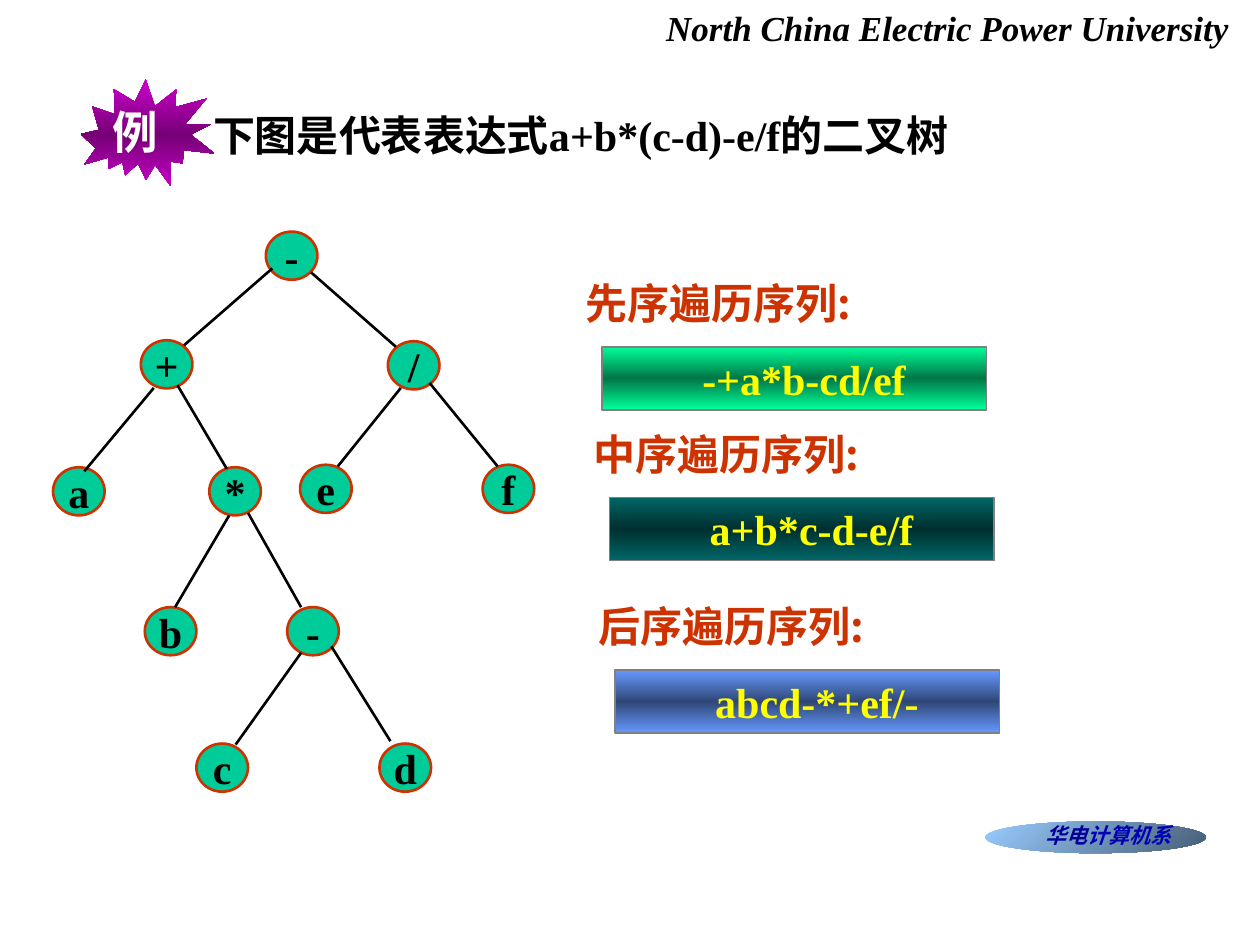
import copy

import pptx
import pptx.util
import pptx.dml.color
import pptx.enum.shapes
import pptx.enum.text
import pptx.oxml
import pptx.oxml.ns

Cm, Pt = pptx.util.Cm, pptx.util.Pt
SHAPE = pptx.enum.shapes.MSO_SHAPE
ALIGN = pptx.enum.text.PP_ALIGN
ANCHOR = pptx.enum.text.MSO_ANCHOR
qn = pptx.oxml.ns.qn

LATIN, CJK = "Times New Roman", "Noto Sans CJK SC"
COLORS = {
    "black": "000000", "white": "FFFFFF", "node": "00CC99", "red": "CC3300",
    "yellow": "FFFF00", "border": "808080", "navy": "000099", "blue": "0000B6",
}
BURST = ("FF00FF", "760076", "FF00FF")
BADGE = ("99CCFF", "475E76")

HEADER = "North China Electric Power University"
TITLE = "下图是代表表达式a+b*(c-d)-e/f的二叉树"
DEPARTMENT = ("华电", "计算机系")

# Symbol, left and top of each tree node, in cm
NODES = [
    ("-", 5.36, 4.67), ("+", 2.84, 6.86), ("/", 7.82, 6.88),
    ("a", 1.07, 9.42), ("*", 4.22, 9.42), ("e", 6.05, 9.37), ("f", 9.73, 9.37),
    ("b", 2.92, 12.24), ("-", 5.79, 12.24), ("c", 3.96, 14.99), ("d", 7.65, 14.99),
]
NODE_SIZE = (1.04, 0.97)

# Parent end and child end of each branch, in cm
BRANCHES = [
    (5.49, 5.41, 3.71, 6.96), (6.27, 5.49, 7.98, 6.99),
    (3.10, 7.82, 1.70, 9.50), (3.58, 7.77, 4.57, 9.45),
    (8.08, 7.82, 6.81, 9.40), (8.66, 7.72, 10.03, 9.40),
    (4.62, 10.39, 3.53, 12.24), (5.00, 10.34, 6.07, 12.24),
    (6.07, 13.16, 4.75, 15.01), (6.68, 13.03, 7.87, 14.94),
]

# Label, sequence, left and top of the bar in cm, gradient
TRAVERSALS = [
    ("先序遍历序列:", "-+a*b-cd/ef", 12.14, 6.99, ("00FF99", "007647", "00FF99")),
    ("中序遍历序列:", "a+b*c-d-e/f", 12.29, 10.03, ("006666", "002F2F", "006666")),
    ("后序遍历序列:", "abcd-*+ef/-", 12.40, 13.51, ("6699FF", "2F4776", "6699FF")),
]
BAR_SIZE = (7.75, 1.27)
LABEL_OFFSET = (-0.58, -1.52)


def rgb(value):
    return pptx.dml.color.RGBColor.from_string(COLORS.get(value, value))


def format_run(r, size, color, font=LATIN, italic=False):
    r.font.size, r.font.name = Pt(size), font
    r.font.bold, r.font.italic = True, italic
    r.font.color.rgb = rgb(color)
    ea = pptx.oxml.parse_xml(
        '<a:ea xmlns:a="http://schemas.openxmlformats.org/drawingml/2006/main" '
        f'typeface="{CJK}"/>')
    r.font._element.find(qn("a:latin")).addnext(ea)


def write(sp, text, size, color, font=LATIN, italic=False, align=ALIGN.LEFT,
          anchor=ANCHOR.TOP, wrap=False):
    tf = sp.text_frame
    tf.text = text
    tf.word_wrap, tf.vertical_anchor = wrap, anchor
    tf.auto_size = pptx.enum.text.MSO_AUTO_SIZE.NONE
    p = tf.paragraphs[0]
    p.alignment = align
    format_run(p.runs[0], size, color, font, italic)
    return tf


def add_text(s, box, *args, **kwargs):
    return write(s.shapes.add_textbox(*map(Cm, box)), *args, **kwargs)


def add_shape(s, kind, box, line=None, width=1):
    sp = s.shapes.add_shape(kind, *map(Cm, box))
    sp.shadow.inherit = False
    if line:
        sp.line.color.rgb = rgb(line)
        sp.line.width = Pt(width)
    else:
        sp.line.fill.background()
    return sp


def fill_gradient(sp, colors, angle=90):
    """Spread the colours evenly, in a direction that ignores shape rotation."""
    sp.fill.gradient()
    sp.fill.gradient_angle = angle
    grad = sp._element.spPr.find(qn("a:gradFill"))
    grad.set("rotWithShape", "0")
    stops = grad.find(qn("a:gsLst"))
    for _ in colors[2:]:
        stops.append(copy.deepcopy(stops[0]))
    for i, (stop, color) in enumerate(zip(sp.fill.gradient_stops, colors)):
        stop.position = i / (len(colors) - 1)
        stop.color.rgb = rgb(color)


def add_heading(s):
    burst = add_shape(s, SHAPE.EXPLOSION2, (1.75, 1.45, 2.54, 2.54))
    burst.rotation = 37.1
    fill_gradient(burst, BURST)
    add_text(s, (1.74, 1.98, 1.98, 1.37), "例", 26, "white", CJK, align=ALIGN.CENTER)
    title = s.shapes.title
    title.left, title.top, title.width, title.height = map(Cm, (4.04, 2.08, 15.72, 1.27))
    write(title, TITLE, 24, "black")
    add_text(s, (13.18, 0, 11.86, 1.12), HEADER, 20, "black", italic=True)


def add_tree(s):
    for symbol, left, top in NODES:
        sp = add_shape(s, SHAPE.OVAL, (left, top, *NODE_SIZE), "red", 1.5)
        sp.fill.solid()
        sp.fill.fore_color.rgb = rgb("node")
        write(sp, symbol, 24, "black", align=ALIGN.CENTER, anchor=ANCHOR.MIDDLE)
    for ends in BRANCHES:
        line = s.shapes.add_connector(
            pptx.enum.shapes.MSO_CONNECTOR.STRAIGHT, *map(Cm, ends))
        line.line.color.rgb = rgb("black")
        line.line.width = Pt(1.5)
        line._element.spPr.append(pptx.oxml.xmlchemy.OxmlElement("a:effectLst"))


def add_traversals(s):
    dx, dy = LABEL_OFFSET
    for label, sequence, left, top, colors in TRAVERSALS:
        bar = add_shape(s, SHAPE.RECTANGLE, (left, top, *BAR_SIZE), "border")
        fill_gradient(bar, colors)
        tf = write(bar, sequence, 24, "yellow", align=ALIGN.CENTER,
                   anchor=ANCHOR.MIDDLE, wrap=True)
        tf.margin_left = Cm(0.64)
        add_text(s, (left + dx, top + dy, 6.3, 1.27), label, 24, "red", CJK)


def add_department(s):
    badge = add_shape(s, SHAPE.OVAL, (19.86, 16.56, 4.45, 0.64))
    fill_gradient(badge, BADGE, 315)
    first, rest = DEPARTMENT
    tf = add_text(s, (20.96, 16.59, 2.79, 0.51), first, 12, "navy", CJK,
                  italic=True, align=ALIGN.CENTER, wrap=True)
    tf.margin_left = tf.margin_right = tf.margin_top = tf.margin_bottom = 0
    r = tf.paragraphs[0].add_run()
    r.text = rest
    format_run(r, 12, "blue", CJK, italic=True)


def main():
    prs = pptx.Presentation()
    prs.slide_width, prs.slide_height = Cm(25.4), Cm(19.05)
    s = prs.slides.add_slide(prs.slide_layouts[5])
    add_heading(s)
    add_tree(s)
    add_traversals(s)
    add_department(s)
    prs.save("out.pptx")


if __name__ == "__main__":
    main()
